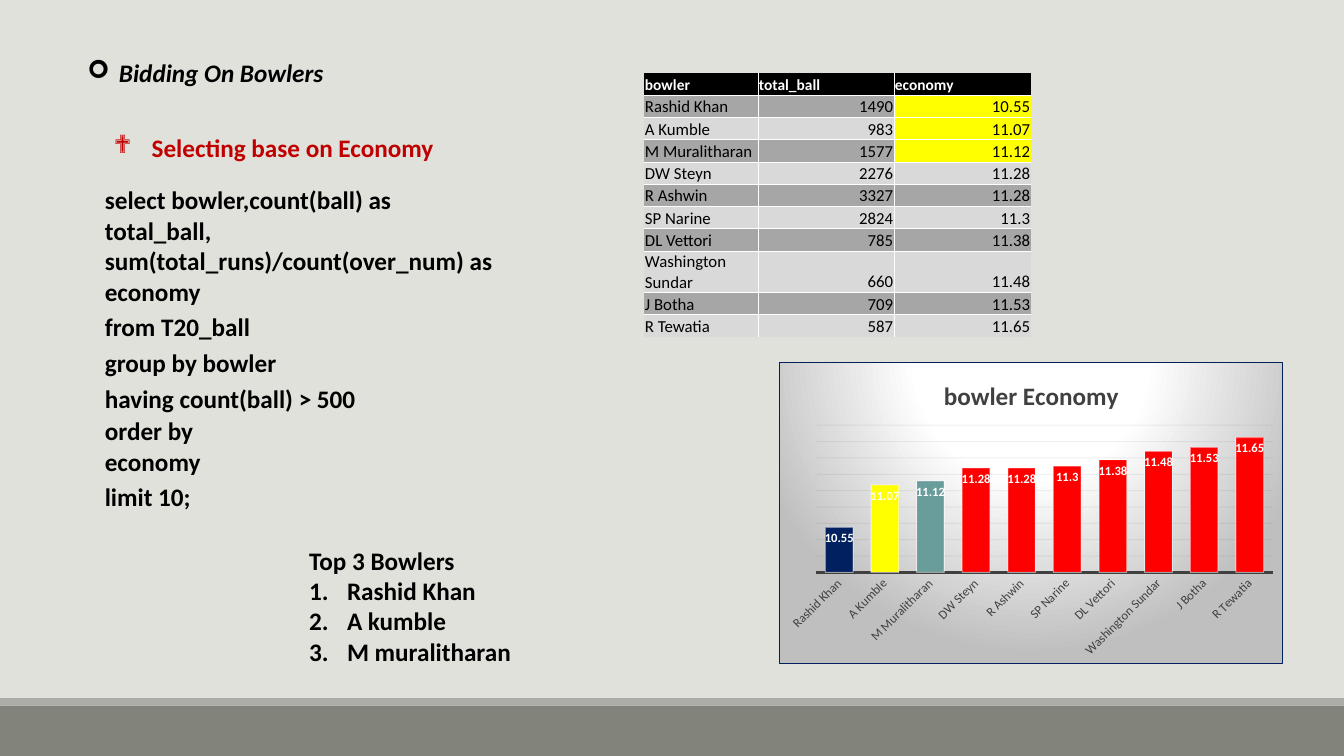
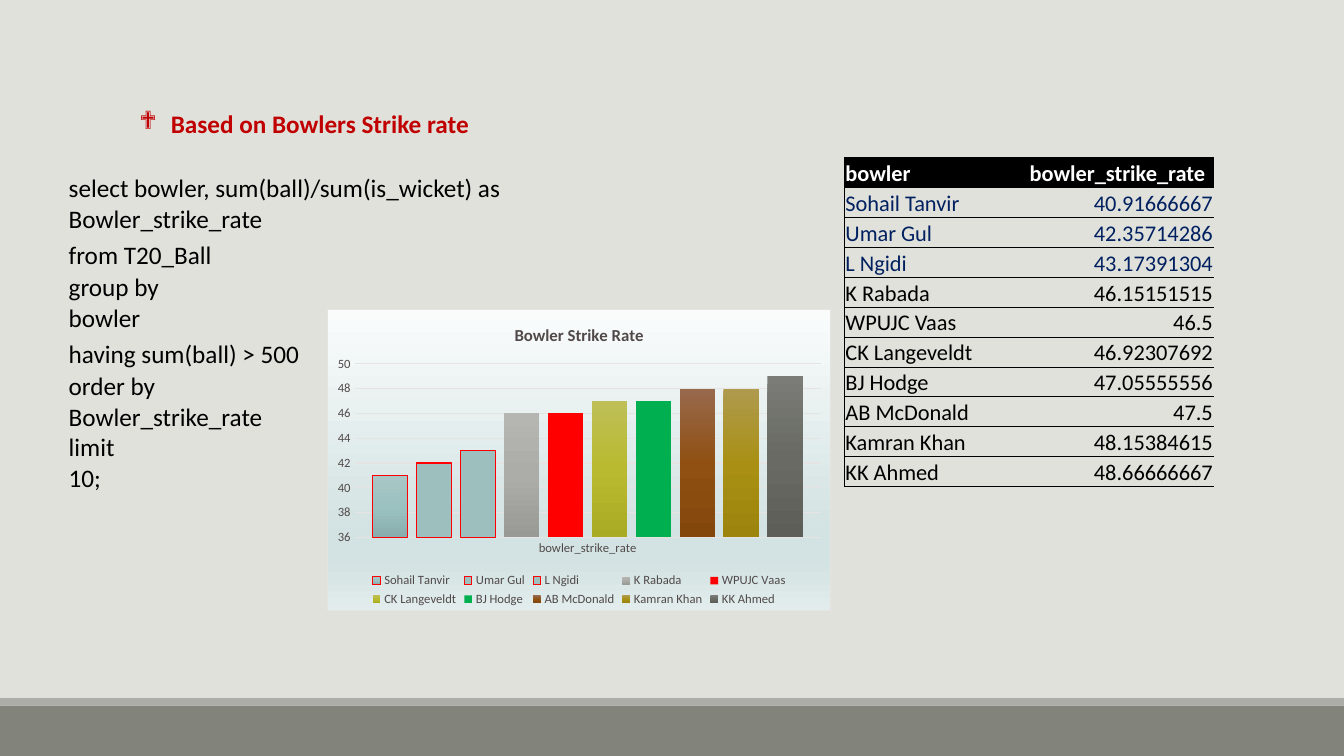
from lxml import etree
from pptx import Presentation
from pptx.chart.data import CategoryChartData
from pptx.dml.color import RGBColor
from pptx.enum import chart as charts, shapes, text
from pptx.oxml.ns import qn
from pptx.util import Pt

FONT = "Calibri"
BULLET_FONT = "Wingdings"
BLACK = RGBColor(0, 0, 0)
WHITE = RGBColor(255, 255, 255)
PAPER = RGBColor(0xE1, 0xE1, 0xDB)
BAND = RGBColor(0x82, 0x84, 0x7C)
STRIP = RGBColor(0xAC, 0xAD, 0xA8)
CRIMSON = RGBColor(0xC0, 0, 0)
RED = RGBColor(255, 0, 0)
YELLOW = RGBColor(255, 255, 0)
GREEN = RGBColor(0, 0xB0, 0x50)
NAVY = RGBColor(0, 0x20, 0x60)
TEAL = RGBColor(0x68, 0x9D, 0x9B)
PALE_TEAL = RGBColor(0x9D, 0xBF, 0xBE)
DARK_ROW = RGBColor(0xA6, 0xA6, 0xA6)
LIGHT_ROW = RGBColor(0xD9, 0xD9, 0xD9)
CHARCOAL = RGBColor(0x40, 0x40, 0x40)
GRID_DARK = RGBColor(0x0D, 0x0D, 0x0D)
BROWN_GRAY = RGBColor(0x51, 0x49, 0x49)
GRID_LIGHT = RGBColor(0xE6, 0xE3, 0xE3)
NO_TABLE_STYLE = "{2D5ABB26-0587-4C30-8999-92F81FD0307C}"

ECONOMY = [
    ("Rashid Khan", "1490", "10.55"), ("A Kumble", "983", "11.07"),
    ("M Muralitharan", "1577", "11.12"), ("DW Steyn", "2276", "11.28"),
    ("R Ashwin", "3327", "11.28"), ("SP Narine", "2824", "11.3"),
    ("DL Vettori", "785", "11.38"), ("Washington Sundar", "660", "11.48"),
    ("J Botha", "709", "11.53"), ("R Tewatia", "587", "11.65"),
]
STRIKE_RATE = [
    ("Sohail Tanvir", "40.91666667"), ("Umar Gul", "42.35714286"),
    ("L Ngidi", "43.17391304"), ("K Rabada", "46.15151515"),
    ("WPUJC Vaas", "46.5"), ("CK Langeveldt", "46.92307692"),
    ("BJ Hodge", "47.05555556"), ("AB McDonald", "47.5"),
    ("Kamran Khan", "48.15384615"), ("KK Ahmed", "48.66666667"),
]
STRIKE_FILLS = [
    ("A8C7C6", "9BC1C0", "88ADAC"), PALE_TEAL, PALE_TEAL,
    ("B5B6B2", "ACADA8", "999A95"), RED, ("BEBF57", "B9BA2F", "AAAB24"),
    GREEN, ("98694D", "8F5012", "84470B"), ("AF9A4E", "A99015", "9C840D"),
    ("7B7C77", "686A63", "5D5E58"),
]


def points(box):
    return [Pt(length) for length in box]


def style_font(font, size, color, bold=False, italic=False):
    font.name, font.size, font.bold, font.italic = FONT, Pt(size), bold, italic
    font.color.rgb = color


def write(frame, lines, size=18, color=BLACK, bold=False, italic=False,
          align=None, bullet=None, indent=0):
    for line in lines:
        para = frame.paragraphs[-1]
        if para.runs:
            para = frame.add_paragraph()
        if align:
            para.alignment = align
        if bullet:
            properties = para._p.get_or_add_pPr()
            properties.set("marL", str(Pt(indent)))
            properties.set("indent", str(-Pt(indent)))
            if bullet == "number":
                etree.SubElement(properties, qn("a:buAutoNum"), type="arabicPeriod")
            else:
                etree.SubElement(properties, qn("a:buFont"), typeface=BULLET_FONT)
                etree.SubElement(properties, qn("a:buChar"), char=bullet)
        span = para.add_run()
        span.text = line
        style_font(span.font, size, color, bold, italic)


def add_text(page, box, lines, **style):
    frame = page.shapes.add_textbox(*points(box)).text_frame
    frame.word_wrap = True
    write(frame, lines, **style)
    return frame


def gradient(stops, center=None):
    fill = etree.Element(qn("a:gradFill"), rotWithShape="1")
    stop_list = etree.SubElement(fill, qn("a:gsLst"))
    for position, color in stops:
        stop = etree.SubElement(stop_list, qn("a:gs"), pos=str(position * 1000))
        etree.SubElement(stop, qn("a:srgbClr"), val=color)
    if center:
        circle = etree.SubElement(fill, qn("a:path"), path="circle")
        sides = {side: str(share * 1000) for side, share in zip("ltrb", center)}
        etree.SubElement(circle, qn("a:fillToRect"), **sides)
    else:
        etree.SubElement(fill, qn("a:lin"), ang="5400000", scaled="0")
    return fill


def add_line(parent, color, width, tag="a:ln"):
    line = etree.SubElement(parent, qn(tag), w=str(Pt(width)))
    solid = etree.SubElement(line, qn("a:solidFill"))
    etree.SubElement(solid, qn("a:srgbClr"), val=str(color))


def set_line(line, color, width, opacity=100):
    line.color.rgb = color
    line.width = Pt(width)
    if opacity < 100:
        for node in line._ln.iter(qn("a:srgbClr")):
            etree.SubElement(node, qn("a:alpha"), val=str(opacity * 1000))


def add_table(page, box, columns, heights):
    frame = page.shapes.add_table(len(heights), len(columns), *points(box))
    table = frame.table
    table.first_row = table.horz_banding = False
    for node in frame.element.iter(qn("a:tableStyleId")):
        node.text = NO_TABLE_STYLE
    for column, width in zip(table.columns, columns):
        column.width = Pt(width)
    for row, height in zip(table.rows, heights):
        row.height = Pt(height)
    for cell in table.iter_cells():
        cell.margin_left = cell.margin_right = cell.margin_top = Pt(0.7)
        cell.margin_bottom = 0
        cell.vertical_anchor = text.MSO_ANCHOR.BOTTOM
    return table


def add_query(page, box, column_count, row_height, lines, bold=False):
    columns = [box[2] / column_count] * column_count
    table = add_table(page, box, columns, [row_height] * len(lines))
    for index, (line, reach) in enumerate(lines):
        cell = table.cell(index, 0)
        if reach > 1:
            cell.merge(table.cell(index, reach - 1))
        write(cell.text_frame, [line], bold=bold)


def add_results(page, box, columns, heights, header, rows, header_size, size,
                rule, sides, look):
    table = add_table(page, box, columns, heights)
    for row, values in enumerate([header] + rows):
        for column, value in enumerate(values):
            cell = table.cell(row, column)
            for side in sides(row, column):
                add_line(cell._tc.get_or_add_tcPr(), rule, 0.5, "a:ln" + side)
            fill, color = look(row, column) if row else (BLACK, WHITE)
            if fill is None:
                cell.fill.background()
            else:
                paint(cell, fill)
            write(cell.text_frame, [value], color=color, bold=row == 0,
                  size=size if row else header_size,
                  align=text.PP_ALIGN.RIGHT if row and column else None)


def add_column_chart(page, box, data, title, title_size, color, scale, gap,
                     background, border, grid, grid_opacity, axis_line):
    chart = page.shapes.add_chart(
        charts.XL_CHART_TYPE.COLUMN_CLUSTERED, *points(box), data).chart
    style_font(chart.font, 10, BLACK)
    chart.has_legend = False
    chart.has_title = True
    write(chart.chart_title.text_frame, [title], size=title_size, color=color, bold=True)
    chart.chart_title.include_in_layout = False
    properties = etree.Element(qn("c:spPr"))
    properties.append(background)
    add_line(properties, border, 0.75)
    chart.element.find(qn("c:chart")).addnext(properties)
    for axis in (chart.category_axis, chart.value_axis):
        axis.major_tick_mark = axis.minor_tick_mark = charts.XL_TICK_MARK.NONE
        style_font(axis.tick_labels.font, 9, color)
    set_line(chart.category_axis.format.line, *axis_line)
    axis = chart.value_axis
    axis.minimum_scale, axis.maximum_scale, axis.major_unit = scale
    axis.format.line.fill.background()
    axis.has_major_gridlines = True
    set_line(axis.major_gridlines.format.line, grid, 0.75, grid_opacity)
    plot = chart.plots[0]
    plot.gap_width = gap
    plot.vary_by_categories = False
    return chart


def paint(form, color):
    form.fill.solid()
    form.fill.fore_color.rgb = color


def add_economy_chart(page, box):
    data = CategoryChartData()
    data.categories = [row[0] for row in ECONOMY]
    data.add_series("Series 1", [float(row[2]) for row in ECONOMY])
    background = gradient([(0, "FFFFFF"), (39, "FFFFFF"), (100, "BFBFBF")],
                          (50, -80, 50, 180))
    chart = add_column_chart(page, box, data, "bowler Economy", 18, CHARCOAL,
                             (10, 11.8, 0.2), 65, background, NAVY,
                             GRID_DARK, 5, (CHARCOAL, 1.5))
    chart.value_axis.visible = False
    for body in chart.category_axis._element.iter(qn("a:bodyPr")):
        body.set("rot", "-2700000")
    series = chart.plots[0].series[0]
    paint(series.format, RED)
    set_line(series.format.line, WHITE, 0.75, 50)
    for index, color in enumerate((NAVY, YELLOW, TEAL)):
        form = series.points[index].format
        paint(form, color)
        set_line(form.line, WHITE, 0.75, 50)
    labels = series.data_labels
    labels.show_value = True
    labels.position = charts.XL_LABEL_POSITION.INSIDE_END
    style_font(labels.font, 9, WHITE, True)


def add_strike_chart(page, box):
    data = CategoryChartData()
    data.categories = ["bowler_strike_rate"]
    for name, rate in STRIKE_RATE:
        data.add_series(name, [round(float(rate))])
    background = gradient([(0, "FAFCFC"), (74, "D3E2E2"), (83, "D3E2E2"), (100, "E2ECEC")])
    chart = add_column_chart(page, box, data, "Bowler Strike Rate", 12, BROWN_GRAY,
                             (36, 50, 2), 100, background, GRID_LIGHT,
                             GRID_LIGHT, 100, (GRID_LIGHT, 0.75))
    chart.plots[0].overlap = -24
    chart.has_legend = True
    chart.legend.position = charts.XL_LEGEND_POSITION.BOTTOM
    chart.legend.include_in_layout = False
    style_font(chart.legend.font, 9, BROWN_GRAY)
    for index, (series, fill) in enumerate(zip(chart.plots[0].series, STRIKE_FILLS)):
        if isinstance(fill, RGBColor):
            paint(series.format, fill)
        else:
            paint(series.format, BLACK)
            solid = series._element.find(qn("c:spPr")).find(qn("a:solidFill"))
            solid.getparent().replace(solid, gradient(zip((0, 50, 100), fill)))
        if index < 3:
            set_line(series.format.line, RED, 0.75)


def add_page(deck):
    page = deck.slides.add_slide(deck.slide_layouts[6])
    for top, height, color in ((504, 36, BAND), (498.6, 5.4, STRIP)):
        band = page.shapes.add_shape(shapes.MSO_SHAPE.RECTANGLE,
                                     *points((0, top, 960, height)))
        band.shadow.inherit = False
        paint(band, color)
        band.line.fill.background()
    return page


def build_economy(deck):
    page = add_page(deck)
    add_text(page, (55.4, 37.4, 225, 29), ["Bidding On Bowlers"], bold=True,
             italic=True, bullet="➢", indent=22.5)
    add_query(page, (74.2, 131.7, 322, 180.6), 5, 25.8, [
        ("select bowler,count(ball) as total_ball,", 4),
        ("sum(total_runs)/count(over_num) as economy", 5),
        ("from T20_ball", 2), ("group by bowler", 2),
        ("having count(ball) > 500", 3), ("order by economy", 2),
        ("limit 10;", 1)], bold=True)

    def look(row, column):
        stripe = DARK_ROW if row % 2 else LIGHT_ROW
        return (YELLOW if row <= 3 and column == 2 else stripe), BLACK

    def inner_sides(row, column):
        inner = {"L": column > 0, "R": column < 2, "T": row > 0, "B": row < 10}
        return [side for side, shown in inner.items() if shown]

    heights = [16.2] + [29 if row == 8 else 15.92 for row in range(1, 11)]
    add_results(page, (460, 51.8, 276.5, 188.5), [81.4, 97.2, 97.9], heights,
                ("bowler", "total_ball", "economy"), ECONOMY, 11, 12, WHITE,
                inner_sides, look)
    add_economy_chart(page, (556.6, 258.5, 360, 216))
    winners = add_text(page, (213.8, 386, 274, 94), ["Top 3 Bowlers"], bold=True)
    write(winners, ["Rashid Khan", "A kumble", "M muralitharan"], bold=True,
          bullet="number", indent=27)
    add_text(page, (74.2, 91, 258.5, 29), ["Selecting base on Economy"],
             color=CRIMSON, bold=True, bullet="❖", indent=27)


def build_strike_rate(deck):
    page = add_page(deck)
    add_query(page, (48.4, 123.1, 349.2, 161.4), 6, 26.9, [
        ("select bowler, sum(ball)/sum(is_wicket) as Bowler_strike_rate", 6),
        ("from T20_Ball", 2), ("group by bowler", 2),
        ("having sum(ball) > 500", 3), ("order by Bowler_strike_rate", 3),
        ("limit 10;", 1)])
    add_text(page, (92.5, 73.8, 304, 29), ["Based on Bowlers Strike rate"],
             color=CRIMSON, bold=True, bullet="❖", indent=22.5)
    add_results(page, (603.2, 112.3, 263.8, 235.2), [131.6, 132.2],
                [21.7] + [21.35] * 10,
                ("bowler", "bowler_strike_rate"), STRIKE_RATE, 16, 16, BLACK,
                lambda row, column: "TB" if column else "LTB",
                lambda row, column: (None, NAVY if row <= 3 else BLACK))
    add_strike_chart(page, (233.7, 220.5, 360, 216))


def main():
    deck = Presentation()
    deck.slide_width, deck.slide_height = Pt(960), Pt(540)
    paint(deck.slide_master.background, PAPER)
    build_economy(deck)
    build_strike_rate(deck)
    deck.save("out.pptx")


if __name__ == "__main__":
    main()
